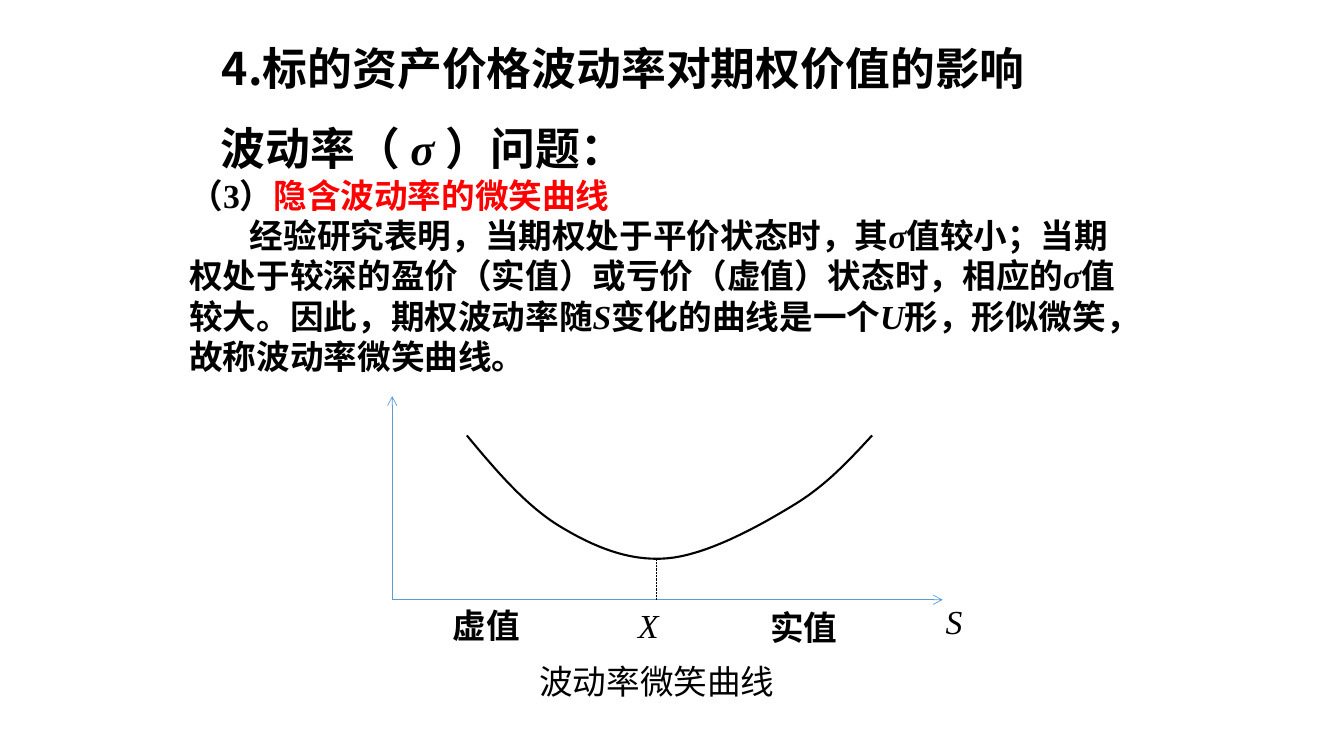
from dataclasses import dataclass
from typing import NamedTuple, Optional

from lxml import etree
from pptx import Presentation
from pptx import util as u
from pptx.dml.color import RGBColor
from pptx.enum import dml, shapes, text
from pptx.oxml.ns import qn

COLORS = {"ink": "000000", "accent": "FF0000", "axis": "5B9BD5"}
HAN, SERIF, SANS = "Noto Sans CJK SC", "Times New Roman", "Arial"
Point = tuple[float, float]


class Run(NamedTuple):
    words: str
    font: str = HAN
    italic: bool = False
    color: str = "ink"


class Para(NamedTuple):
    runs: list[Run]
    size: int = 24
    indent: float = 0


@dataclass
class Label:
    words: str
    box: tuple[float, float, float, float]
    font: str = HAN
    bold: bool = False
    italic: bool = False


@dataclass
class Line:
    start: Point
    end: Point
    color: str = "axis"
    arrow: bool = True
    dash: Optional[dml.MSO_LINE] = None


def symbol(letter: str) -> Run:
    return Run(letter, SERIF, italic=True)


TITLE = Para([Run("4.标的资产价格波动率对期权价值的影响")], size=32)
BODY = [
    Para([Run("波动率（", SERIF), symbol(" σ "), Run("）问题：", SERIF)],
         size=32, indent=0.31),
    Para([Run("（3）", SERIF), Run("隐含波动率的微笑曲线", color="accent")]),
    Para([
        Run("经验研究表明，当期权处于平价状态时，其"), symbol("σ"),
        Run("值较小；当期权处于较深的盈价（实值）或亏价（虚值）状态时，相应的"),
        symbol("σ"), Run("值较大。因此，期权波动率随"), symbol("S"),
        Run("变化的曲线是一个"), symbol("U"),
        Run("形，形似微笑，故称波动率微笑曲线。"),
    ], indent=0.6),
]

ORIGIN = (3.89, 5.95)
STRIKE_X = 6.51
LINES = [
    Line(ORIGIN, (9.35, ORIGIN[1])),
    Line(ORIGIN, (ORIGIN[0], 3.93)),
    Line((STRIKE_X, 5.56), (STRIKE_X, ORIGIN[1]), "ink", False,
         dml.MSO_LINE.ROUND_DOT),
]
LABELS = [
    Label("S", (9.28, 5.91, 0.64, 0.5), SERIF, italic=True),
    Label("X", (6.23, 5.95, 0.57, 0.5), SERIF, italic=True),
    Label("虚值", (4.39, 5.95, 0.98, 0.5), bold=True),
    Label("实值", (7.54, 5.97, 0.9, 0.5), bold=True),
    Label("波动率微笑曲线", (5.25, 6.51, 2.76, 0.5), SANS),
]
SMILE_START = (4.63, 4.32)
SMILE = [
    ((4.92, 4.67), (5.22, 5.02), (5.55, 5.22)),
    ((5.88, 5.42), (6.23, 5.57), (6.61, 5.54)),
    ((7.0, 5.51), (7.51, 5.23), (7.84, 5.03)),
    ((8.18, 4.83), (8.41, 4.58), (8.65, 4.32)),
]
STEPS = 16


def rgb(name: str) -> RGBColor:
    return RGBColor.from_string(COLORS[name])


def add_text(slide, paras: list[Para], box: tuple[float, float, float, float], *,
             bold: bool = True, wrap: bool = True, fixed_pitch: bool = True) -> None:
    """Add a text box; fixed_pitch sets lines 1.2 times the text size apart."""
    frame = slide.shapes.add_textbox(*map(u.Inches, box)).text_frame
    frame.word_wrap = wrap
    frame.auto_size = text.MSO_AUTO_SIZE.SHAPE_TO_FIT_TEXT
    for index, para in enumerate(paras):
        paragraph = frame.add_paragraph() if index else frame.paragraphs[0]
        if para.indent:
            properties = paragraph._p.get_or_add_pPr()
            properties.set("marL", "0")
            properties.set("indent", str(u.Inches(para.indent)))
        if fixed_pitch:
            paragraph.line_spacing = u.Pt(para.size * 1.2)
        for run in para.runs:
            piece = paragraph.add_run()
            piece.text = run.words
            font = piece.font
            font.name, font.size = run.font, u.Pt(para.size)
            font.bold, font.italic = bold, run.italic
            font.color.rgb = rgb(run.color)
            latin = font._element.find(qn("a:latin"))
            east_asian = etree.Element(qn("a:ea"), typeface=HAN)
            latin.addnext(east_asian)


def add_line(slide, line: Line) -> None:
    connector = slide.shapes.add_connector(
        shapes.MSO_CONNECTOR.STRAIGHT, *map(u.Inches, line.start + line.end))
    connector.line.color.rgb = rgb(line.color)
    connector.line.width = u.Pt(0.5)
    if line.dash:
        connector.line.dash_style = line.dash
    if line.arrow:
        etree.SubElement(connector.line._get_or_add_ln(), qn("a:tailEnd"),
                         type="arrow")
    etree.SubElement(connector._element.spPr, qn("a:effectLst"))


def bezier(start: Point, first: Point, second: Point, end: Point, t: float) -> Point:
    s = 1 - t
    x, y = (s**3 * a + 3 * s * s * t * b + 3 * s * t * t * c + t**3 * d
            for a, b, c, d in zip(start, first, second, end))
    return x, y


def add_smile(slide) -> None:
    points, start = [SMILE_START], SMILE_START
    for first, second, end in SMILE:
        points += [bezier(start, first, second, end, step / STEPS)
                   for step in range(1, STEPS + 1)]
        start = end
    corners = [(u.Inches(x), u.Inches(y)) for x, y in points]
    builder = slide.shapes.build_freeform(*corners[0])
    builder.add_line_segments(corners[1:], close=False)
    smile = builder.convert_to_shape()
    smile.shadow.inherit = False
    smile.fill.background()
    smile.line.color.rgb = rgb("ink")
    smile.line.width = u.Pt(1.5)


def main() -> None:
    deck = Presentation()
    deck.slide_width, deck.slide_height = u.Inches(13.33), u.Inches(7.5)
    slide = deck.slides.add_slide(deck.slide_layouts[6])
    add_text(slide, [TITLE], (2.1, 0.36, 8.32, 0.64), wrap=False)
    add_text(slide, BODY, (1.78, 1.15, 9.45, 2.66))
    for line in LINES:
        add_line(slide, line)
    for label in LABELS:
        run = Run(label.words, label.font, label.italic)
        add_text(slide, [Para([run])], label.box, bold=label.bold,
                 fixed_pitch=label.font != SERIF)
    add_smile(slide)
    deck.save("out.pptx")


if __name__ == "__main__":
    main()
